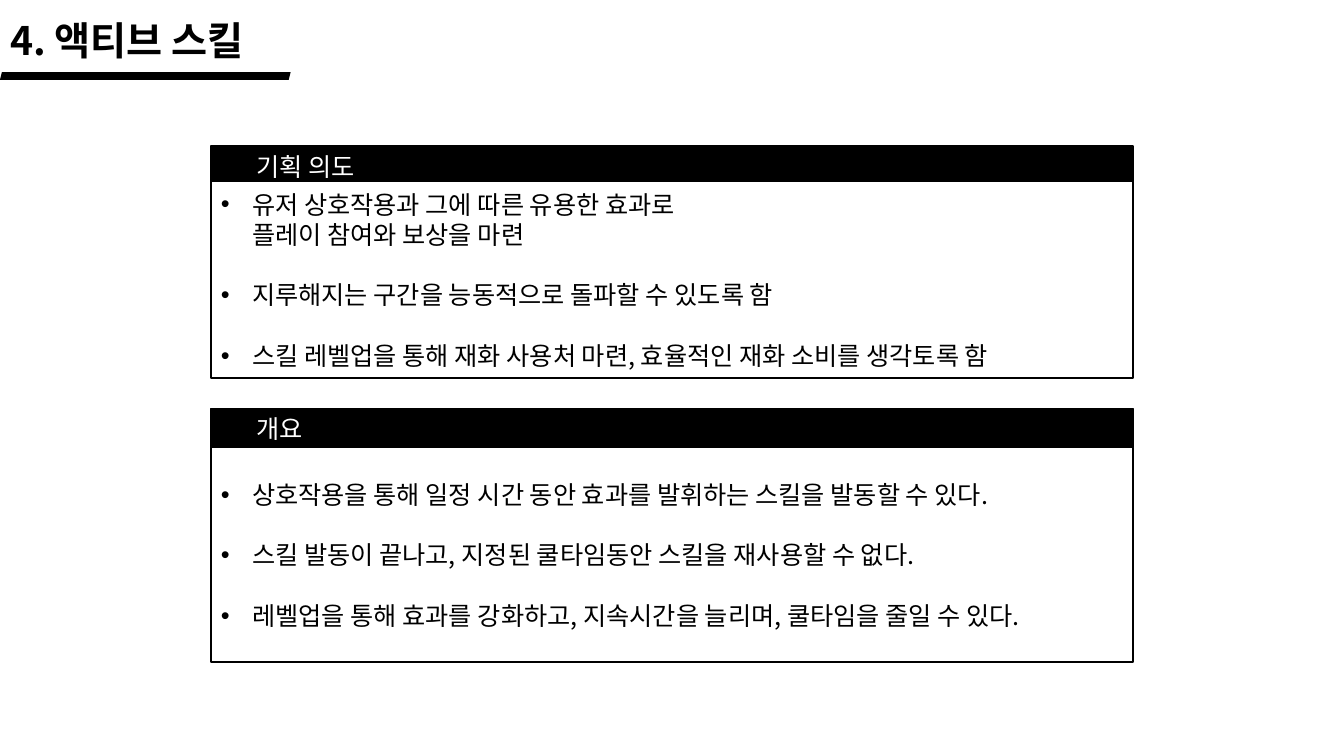
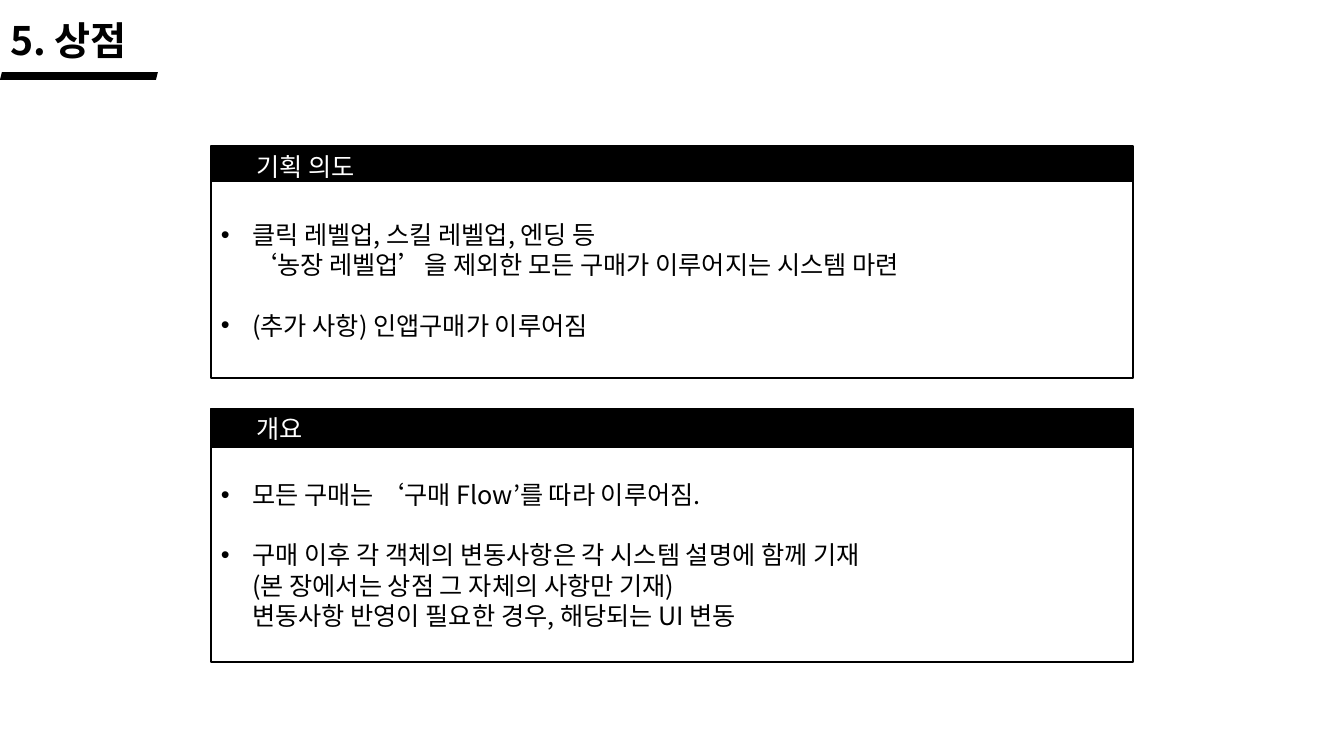
from lxml import etree
from pptx import Presentation
from pptx import util as u
from pptx.dml.color import RGBColor
from pptx.enum import shapes, text
from pptx.oxml.ns import qn

HUES = {"ink": "000000", "paper": "FFFFFF"}
FONT = "Noto Sans CJK KR"
COLS, ROWS = 160, 90
LEFT, WIDE = 25.1, 109.8
PITCH = 21.6
PANELS = [("기획 의도", 17.4, 21.6, 45), ("개요", 48.6, 53.3, 78.8)]

PAGES = [
    ("4. 액티브 스킬", 36.8, 34.6, [
        ["유저 상호작용과 그에 따른 유용한 효과로\n플레이 참여와 보상을 마련",
         "지루해지는 구간을 능동적으로 돌파할 수 있도록 함",
         "스킬 레벨업을 통해 재화 사용처 마련, 효율적인 재화 소비를 생각토록 함"],
        ["상호작용을 통해 일정 시간 동안 효과를 발휘하는 스킬을 발동할 수 있다.",
         "스킬 발동이 끝나고, 지정된 쿨타임동안 스킬을 재사용할 수 없다.",
         "레벨업을 통해 효과를 강화하고, 지속시간을 늘리며, 쿨타임을 줄일 수 있다."],
    ]),
    ("5. 상점", 20.2, 18.8, [
        ["클릭 레벨업, 스킬 레벨업, 엔딩 등\n‘농장 레벨업’을 제외한 모든 구매가 이루어지는 시스템 마련",
         "(추가 사항) 인앱구매가 이루어짐"],
        ["모든 구매는 ‘구매 Flow’를 따라 이루어짐.",
         "구매 이후 각 객체의 변동사항은 각 시스템 설명에 함께 기재\n"
         "(본 장에서는 상점 그 자체의 사항만 기재)\n"
         "변동사항 반영이 필요한 경우, 해당되는 UI 변동"],
    ]),
]


class Deck:
    def __init__(self):
        self.prs = Presentation()
        self.prs.slide_width = u.Inches(13.33)
        self.prs.slide_height = u.Inches(7.5)
        self.page = None

    def start(self):
        self.page = self.prs.slides.add_slide(self.prs.slide_layouts[3])

    def grid(self, x, y, w, h):
        col = self.prs.slide_width / COLS
        row = self.prs.slide_height / ROWS
        return int(x * col), int(y * row), int(w * col), int(h * row)

    def place(self, item, *cells):
        item.left, item.top, item.width, item.height = self.grid(*cells)

    def paint(self, item, hue, edge=False):
        item.fill.solid()
        item.fill.fore_color.rgb = RGBColor.from_string(HUES[hue])
        if edge:
            item.line.color.rgb = RGBColor.from_string(HUES["ink"])
            item.line.width = u.Pt(1)
        else:
            item.line.fill.background()

    def style(self, para, size, hue, bold=False):
        para.alignment = text.PP_ALIGN.LEFT
        for run in para.runs:
            run.font.size = u.Pt(size)
            run.font.bold = bold
            run.font.color.rgb = RGBColor.from_string(HUES[hue])
            run.font.name = FONT
            east = etree.SubElement(run.font._element, qn("a:ea"))
            east.set("typeface", FONT)

    def shape(self, kind, *cells):
        item = self.page.shapes.add_shape(kind, *self.grid(*cells))
        item.shadow.inherit = False
        return item

    def title(self, words, width, rule):
        head = self.page.shapes.title
        self.place(head, 0, 1.3, width, 6.9)
        frame = head.text_frame
        frame.text = words
        frame.word_wrap = False
        frame.auto_size = text.MSO_AUTO_SIZE.NONE
        frame.vertical_anchor = text.MSO_ANCHOR.MIDDLE
        self.style(frame.paragraphs[0], 28, "ink", True)
        bar = self.shape(shapes.MSO_SHAPE.PARALLELOGRAM, 0, 8.6, rule, 0.9)
        self.paint(bar, "ink")

    def band(self, words, top, end):
        bar = self.shape(shapes.MSO_SHAPE.RECTANGLE, LEFT, top, WIDE, end - top)
        self.paint(bar, "ink", True)
        frame = bar.text_frame
        frame.text = words
        frame.margin_left = u.Inches(0.45)
        frame.vertical_anchor = text.MSO_ANCHOR.TOP
        para = frame.paragraphs[0]
        para.line_spacing = u.Pt(PITCH)
        self.style(para, 18, "paper")

    def bullets(self, slot, items, top, end):
        body = self.page.placeholders[slot]
        self.place(body, LEFT, top, WIDE, end - top)
        self.paint(body, "paper", True)
        frame = body.text_frame
        frame.auto_size = text.MSO_AUTO_SIZE.NONE
        frame.vertical_anchor = text.MSO_ANCHOR.MIDDLE
        for i, words in enumerate(items):
            para = frame.add_paragraph() if i else frame.paragraphs[0]
            para.text = words
            para.line_spacing = u.Pt(PITCH)
            para.space_before = u.Pt(PITCH if i else 0)
            props = para._p.get_or_add_pPr()
            props.set("marL", str(u.Inches(0.31)))
            props.set("indent", str(-u.Inches(0.31)))
            self.style(para, 18, "ink")


def main():
    deck = Deck()
    for words, width, rule, lists in PAGES:
        deck.start()
        deck.title(words, width, rule)
        for slot, (panel, items) in enumerate(zip(PANELS, lists), 1):
            name, top, split, end = panel
            deck.bullets(slot, items, split, end)
            deck.band(name, top, split)
    deck.prs.save("out.pptx")


if __name__ == "__main__":
    main()
